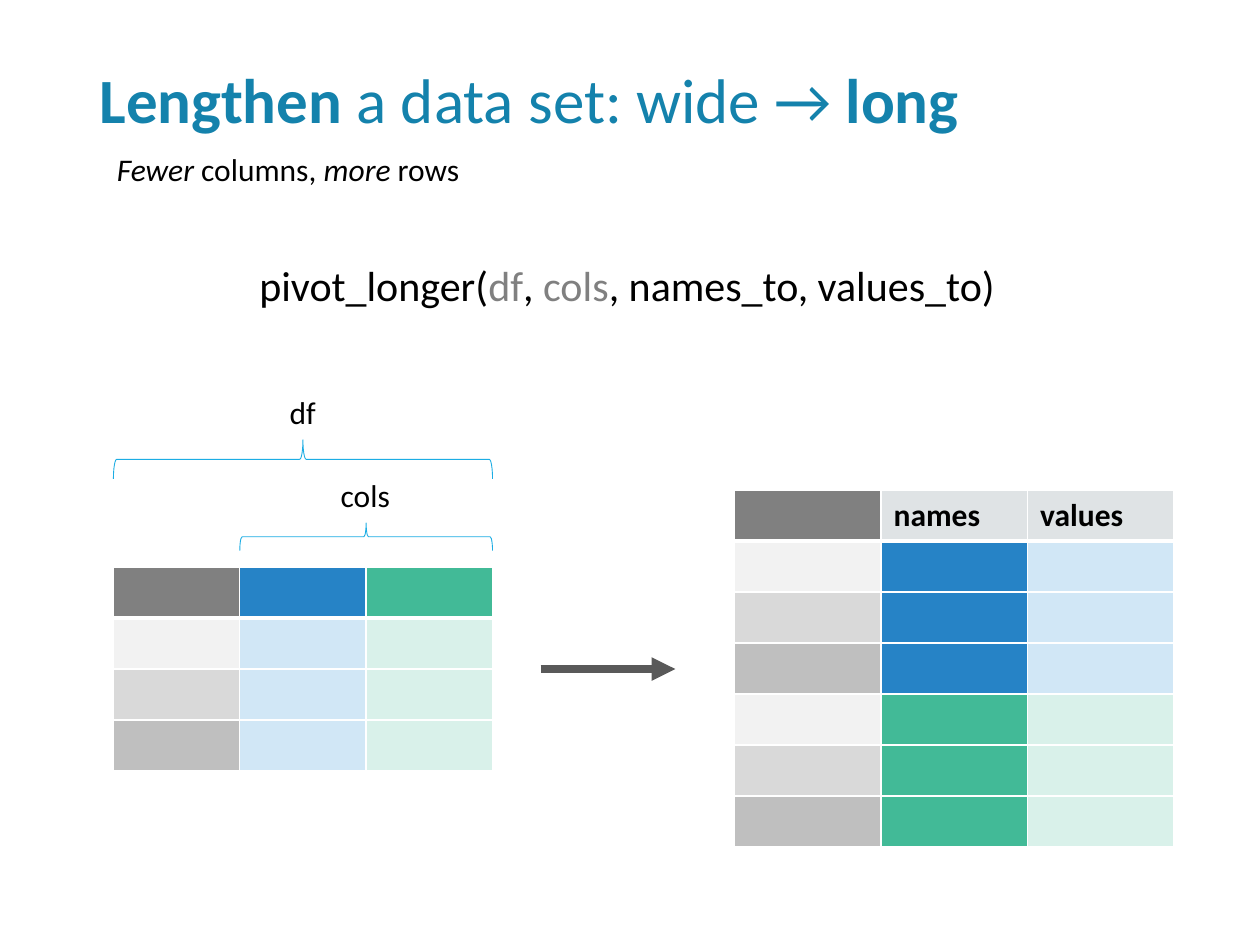
from typing import NamedTuple

from lxml import etree
from pptx import Presentation
from pptx.dml.color import RGBColor
from pptx.enum.shapes import MSO_CONNECTOR, MSO_SHAPE
from pptx.enum.text import MSO_ANCHOR, MSO_AUTO_SIZE, PP_ALIGN
from pptx.oxml.ns import qn
from pptx.util import Inches, Pt

STRAIGHT = MSO_CONNECTOR.STRAIGHT
RIGHT_BRACE = MSO_SHAPE.RIGHT_BRACE
MIDDLE = MSO_ANCHOR.MIDDLE
FIT_SHAPE = MSO_AUTO_SIZE.SHAPE_TO_FIT_TEXT
NO_FIT = MSO_AUTO_SIZE.NONE
LEFT = PP_ALIGN.LEFT

FONT = "Calibri"
BLACK = RGBColor(0x00, 0x00, 0x00)
WHITE = RGBColor(0xFF, 0xFF, 0xFF)
GREY = RGBColor(0x80, 0x80, 0x80)
TITLE_BLUE = RGBColor(0x14, 0x82, 0xAC)
BRACE_BLUE = RGBColor(0x1C, 0xAD, 0xE4)
ARROW_GREY = RGBColor(0x59, 0x59, 0x59)
HEADER_GREY = RGBColor(0xDF, 0xE3, 0xE5)
BLUE = RGBColor(0x26, 0x83, 0xC6)
PALE_BLUE = RGBColor(0xD1, 0xE7, 0xF6)
GREEN = RGBColor(0x42, 0xBA, 0x97)
PALE_GREEN = RGBColor(0xD9, 0xF1, 0xEA)
ROW_GREYS = [RGBColor(level, level, level) for level in (0xF2, 0xD9, 0xBF)]

SLIDE_WIDTH, SLIDE_HEIGHT = 10, 7.5
ROW_HEIGHT = 0.405
LABEL_HEIGHT = 0.4


class Run(NamedTuple):
    text: str
    color: RGBColor = BLACK
    bold: bool = False
    italic: bool = False


class Cell(NamedTuple):
    fill: RGBColor
    text: str = ""


class Grid(NamedTuple):
    left: float
    top: float
    column_width: float
    rows: list[list[Cell]]

    def column_edge(self, column: int) -> float:
        return self.left + column * self.column_width


class Brace(NamedTuple):
    """A brace over the wide table, from first_column to its right edge."""
    label: str
    first_column: int
    top: float
    height: float
    label_top: float
    label_width: float


WIDE = Grid(0.9, 4.5, 1.003, [
    [Cell(GREY), Cell(BLUE), Cell(GREEN)],
    *[[Cell(grey), Cell(PALE_BLUE), Cell(PALE_GREEN)] for grey in ROW_GREYS],
])
LONG = Grid(5.83, 3.89, 1.163, [
    [Cell(GREY), Cell(HEADER_GREY, "names"), Cell(HEADER_GREY, "values")],
    *[[Cell(grey), Cell(name), Cell(value)]
      for name, value in ((BLUE, PALE_BLUE), (GREEN, PALE_GREEN))
      for grey in ROW_GREYS],
])
BRACES = [
    Brace("cols", 1, top=4.15, height=0.22, label_top=3.73, label_width=0.6),
    Brace("df", 0, top=3.49, height=0.31, label_top=3.07, label_width=0.41),
]


def write_runs(paragraph, runs: list[Run], size: float) -> None:
    for part in runs:
        run = paragraph.add_run()
        run.text = part.text
        font = run.font
        font.name, font.size = FONT, Pt(size)
        font.bold, font.italic = part.bold, part.italic
        font.color.rgb = part.color


def add_label(slide, runs: list[Run], left: float, top: float, width: float,
              height: float = LABEL_HEIGHT, size: float = 18) -> None:
    box = slide.shapes.add_textbox(
        Inches(left), Inches(top), Inches(width), Inches(height))
    box.text_frame.word_wrap = False
    box.text_frame.auto_size = FIT_SHAPE
    write_runs(box.text_frame.paragraphs[0], runs, size)


def set_borders(cell, bottom_width: float) -> None:
    """Draw white borders; they must stand before the fill in the cell."""
    properties = cell._tc.get_or_add_tcPr()
    widths = {"a:lnL": 1, "a:lnR": 1, "a:lnT": 1, "a:lnB": bottom_width}
    for position, (tag, width) in enumerate(widths.items()):
        border = etree.Element(qn(tag), w=str(Pt(width)))
        fill = etree.SubElement(border, qn("a:solidFill"))
        etree.SubElement(fill, qn("a:srgbClr"), val=str(WHITE))
        properties.insert(position, border)


def add_grid(slide, grid: Grid) -> None:
    row_count, column_count = len(grid.rows), len(grid.rows[0])
    table = slide.shapes.add_table(
        row_count, column_count, Inches(grid.left), Inches(grid.top),
        Inches(column_count * grid.column_width),
        Inches(row_count * ROW_HEIGHT)).table
    for row_index, row in enumerate(grid.rows):
        for column_index, content in enumerate(row):
            cell = table.cell(row_index, column_index)
            cell.fill.solid()
            cell.fill.fore_color.rgb = content.fill
            set_borders(cell, bottom_width=3 if row_index == 0 else 1)
            if content.text:
                write_runs(cell.text_frame.paragraphs[0],
                           [Run(content.text, bold=True)], 18)


def add_brace(slide, brace: Brace) -> None:
    left = WIDE.column_edge(brace.first_column)
    span = WIDE.column_edge(3) - left
    center_x = left + span / 2
    center_y = brace.top + brace.height / 2
    # The quarter turn swaps width and height around the centre.
    shape = slide.shapes.add_shape(
        RIGHT_BRACE, Inches(center_x - brace.height / 2),
        Inches(center_y - span / 2), Inches(brace.height), Inches(span))
    shape.rotation = 270
    shape.shadow.inherit = False
    shape.fill.background()
    shape.line.color.rgb = BRACE_BLUE
    shape.line.width = Pt(0.5)
    add_label(slide, [Run(brace.label)], center_x - brace.label_width / 2,
              brace.label_top, brace.label_width)


def add_arrow(slide, start: float, end: float, y: float) -> None:
    arrow = slide.shapes.add_connector(
        STRAIGHT, Inches(start), Inches(y), Inches(end), Inches(y))
    arrow.line.color.rgb = ARROW_GREY
    arrow.line.width = Pt(4.5)
    etree.SubElement(arrow.line._get_or_add_ln(), qn("a:tailEnd"), type="triangle")
    etree.SubElement(arrow._element.spPr, qn("a:effectLst"))


def format_title(slide) -> None:
    title = slide.shapes.title
    title.left, title.top = Inches(0.69), Inches(0.4)
    title.width, title.height = Inches(8.62), Inches(0.83)
    frame = title.text_frame
    frame.vertical_anchor = MIDDLE
    frame.auto_size = NO_FIT
    paragraph = frame.paragraphs[0]
    paragraph.alignment = LEFT
    paragraph.line_spacing = 0.9
    write_runs(paragraph, [
        Run("Lengthen", TITLE_BLUE, bold=True),
        Run(" a data set: wide → ", TITLE_BLUE),
        Run("long", TITLE_BLUE, bold=True)], 36)


def main() -> None:
    presentation = Presentation()
    presentation.slide_width = Inches(SLIDE_WIDTH)
    presentation.slide_height = Inches(SLIDE_HEIGHT)
    slide = presentation.slides.add_slide(presentation.slide_layouts[5])
    format_title(slide)
    add_label(slide, [Run("Fewer", italic=True), Run(" columns, "),
                      Run("more", italic=True), Run(" rows")], 0.83, 1.14, 3.04)
    add_label(slide, [Run("pivot_longer("), Run("df", GREY), Run(", "),
                      Run("cols", GREY), Run(", names_to, values_to)")],
              1.96, 2.01, 6.07, height=0.5, size=24)
    for grid in (WIDE, LONG):
        add_grid(slide, grid)
    add_arrow(slide, 4.29, 5.36, WIDE.top + 2 * ROW_HEIGHT)
    for brace in BRACES:
        add_brace(slide, brace)
    presentation.save("out.pptx")


if __name__ == "__main__":
    main()
